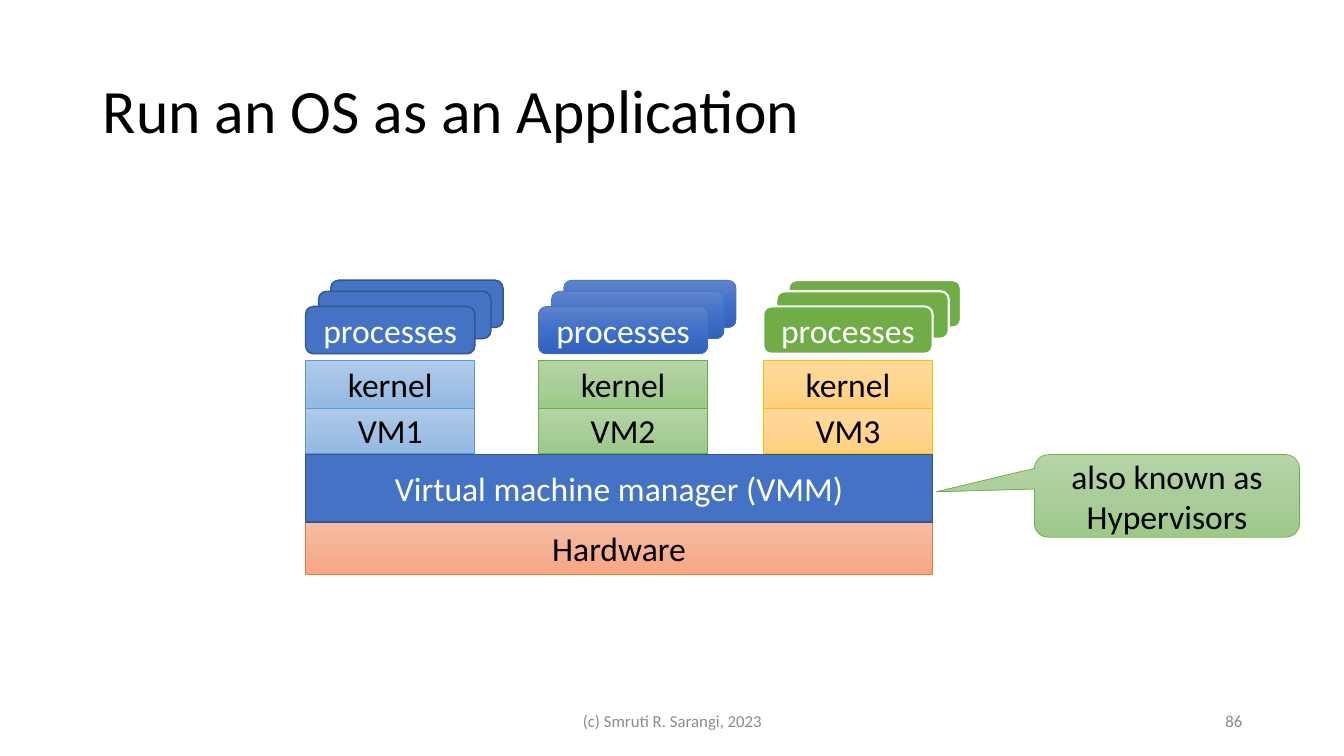
from copy import deepcopy
from dataclasses import dataclass

from pptx import Presentation
from pptx.dml.color import RGBColor
from pptx.enum.shapes import MSO_SHAPE
from pptx.enum.text import MSO_ANCHOR, MSO_AUTO_SIZE, PP_ALIGN
from pptx.util import Inches, Pt

RECT = MSO_SHAPE.RECTANGLE
ROUND = MSO_SHAPE.ROUNDED_RECTANGLE
CALLOUT = MSO_SHAPE.ROUNDED_RECTANGULAR_CALLOUT
LEFT, CENTER, RIGHT = PP_ALIGN.LEFT, PP_ALIGN.CENTER, PP_ALIGN.RIGHT
MIDDLE = MSO_ANCHOR.MIDDLE
BLACK, WHITE, GREY = "000000", "FFFFFF", "8C8C8C"


@dataclass(frozen=True)
class Style:
    fill: tuple[str, ...]  # one colour is solid, three run from top to bottom
    line: str
    width: float
    text: str


@dataclass(frozen=True)
class Machine:
    name: str
    left: float
    system: Style
    process: Style


SOLID_BLUE = Style(("4472C4",), "325491", 1, WHITE)
SOLID_GREEN = Style(("70AD47",), WHITE, 1.5, WHITE)
DEEP_BLUE = Style(("6183CB", "3E70CA", "3062BB"), "4472C4", 0.5, WHITE)
PALE_BLUE = Style(("B1CBE9", "A3C1E5", "93B9E4"), "5B9BD5", 0.5, BLACK)
PALE_GREEN = Style(("B5D5A7", "AACE9A", "9CC987"), "70AD47", 0.5, BLACK)
PALE_GOLD = Style(("FFDB9E", "FFD590", "FFD07C"), "FFC000", 0.5, BLACK)
PALE_ORANGE = Style(("F7BDA5", "F5B196", "F8A582"), "ED7D31", 0.5, BLACK)

MACHINES = [
    Machine("VM1", 3.03, PALE_BLUE, SOLID_BLUE),
    Machine("VM2", 5.34, PALE_GREEN, DEEP_BLUE),
    Machine("VM3", 7.57, PALE_GOLD, SOLID_GREEN),
]
STACK_LEFT, STACK_W = 3.03, 6.22
BOX_W, CARD_W, BOX_H = 1.68, 1.71, 0.47


def rgb(color: str) -> RGBColor:
    return RGBColor.from_string(color)


def write(s, text: str, *, size: float = 24, color: str = BLACK,
          align=CENTER, spacing: float = 1.0) -> None:
    tf = s.text_frame
    tf.word_wrap = True
    tf.auto_size = MSO_AUTO_SIZE.NONE
    tf.vertical_anchor = MIDDLE
    p = tf.paragraphs[0]
    p.alignment = align
    p.line_spacing = spacing
    r = p.add_run()
    r.text = text
    r.font.name = "Calibri"
    r.font.size = Pt(size)
    r.font.color.rgb = rgb(color)


def paint(sp, colors: tuple[str, ...]) -> None:
    if len(colors) == 1:
        sp.fill.solid()
        sp.fill.fore_color.rgb = rgb(colors[0])
        return
    sp.fill.gradient()
    sp.fill.gradient_angle = 270
    # A new gradient has two stops; add the middle one
    first = sp._element.spPr.xpath("./a:gradFill/a:gsLst/a:gs")[0]
    first.addnext(deepcopy(first))
    for i, (stop, color) in enumerate(zip(sp.fill.gradient_stops, colors)):
        stop.position = i / 2
        stop.color.rgb = rgb(color)


def add_box(slide, kind, left: float, top: float, width: float, height: float,
            style: Style, text: str = ""):
    sp = slide.shapes.add_shape(kind, Inches(left), Inches(top),
                                Inches(width), Inches(height))
    sp.shadow.inherit = False
    paint(sp, style.fill)
    sp.line.color.rgb = rgb(style.line)
    sp.line.width = Pt(style.width)
    if text:
        write(sp, text, color=style.text)
    return sp


def add_machine(slide, vm: Machine) -> None:
    # Two cards behind the labelled process card
    for dx, top in ((0.25, 2.78), (0.13, 2.89)):
        add_box(slide, ROUND, vm.left + dx, top, CARD_W, BOX_H, vm.process)
    add_box(slide, RECT, vm.left, 4.03, BOX_W, BOX_H, vm.system, vm.name)
    add_box(slide, RECT, vm.left, 3.58, BOX_W, BOX_H, vm.system, "kernel")
    add_box(slide, ROUND, vm.left, 3.04, BOX_W, BOX_H, vm.process, "processes")


def add_footer(slide, left: float, width: float, text: str, align) -> None:
    s = slide.shapes.add_textbox(Inches(left), Inches(6.95),
                                 Inches(width), Inches(0.4))
    write(s, text, size=12, color=GREY, align=align)


def main() -> None:
    prs = Presentation()
    prs.slide_width, prs.slide_height = Inches(13.33), Inches(7.5)
    slide = prs.slides.add_slide(prs.slide_layouts[5])

    # Title
    title = slide.shapes.title
    title.left, title.top = Inches(0.92), Inches(0.4)
    title.width, title.height = Inches(11.5), Inches(1.45)
    write(title, "Run an OS as an Application", size=44, align=LEFT, spacing=0.9)

    # Shared layers, then the machines on top of them
    add_box(slide, RECT, STACK_LEFT, 5.18, STACK_W, 0.52, PALE_ORANGE, "Hardware")
    add_box(slide, RECT, STACK_LEFT, 4.51, STACK_W, 0.67, SOLID_BLUE,
            "Virtual machine manager (VMM)")
    for vm in MACHINES:
        add_machine(slide, vm)

    # Callout pointing at the VMM
    note = add_box(slide, CALLOUT, 10.26, 4.51, 2.63, 0.82, PALE_GREEN,
                   "also known as Hypervisors")
    note.adjustments[0] = -0.87
    note.adjustments[1] = -0.05
    note.adjustments[2] = 0.17

    # Footer
    add_footer(slide, 4.42, 4.5, "(c) Smruti R. Sarangi, 2023", CENTER)
    add_footer(slide, 9.42, 3, "86", RIGHT)

    prs.save("out.pptx")


if __name__ == "__main__":
    main()
